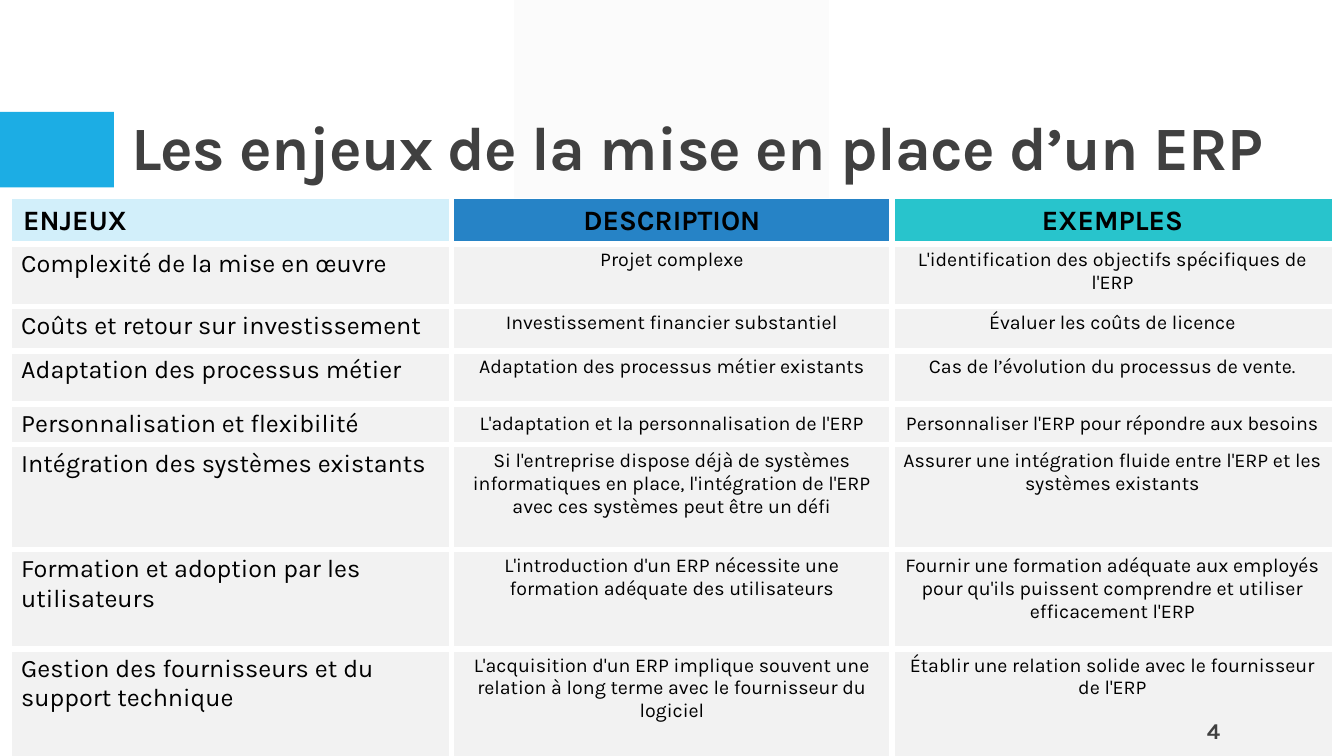
from lxml.etree import SubElement
from pptx import Presentation
from pptx.dml.color import RGBColor
from pptx.enum.shapes import MSO_SHAPE
from pptx.enum.text import MSO_ANCHOR, MSO_AUTO_SIZE, PP_ALIGN
from pptx.oxml.ns import qn
from pptx.util import Inches, Pt

BLUE = RGBColor(0x1C, 0xAD, 0xE4)
GREY = RGBColor(0xF2, 0xF2, 0xF2)
DARK = RGBColor(0x40, 0x40, 0x40)
BLACK = RGBColor(0, 0, 0)
WHITE = RGBColor(0xFF, 0xFF, 0xFF)
HEADER_FILLS = [RGBColor(0xD2, 0xEF, 0xFA), RGBColor(0x26, 0x83, 0xC6), RGBColor(0x28, 0xC4, 0xCC)]

TITLE = "Les enjeux de la mise en place d’un ERP"
PAGE_NUMBER = "4"
ROWS = [
    ("ENJEUX", "DESCRIPTION", "EXEMPLES"),
    ("Complexité de la mise en œuvre", "Projet complexe",
     "L'identification des objectifs spécifiques de l'ERP"),
    ("Coûts et retour sur investissement", "Investissement financier substantiel",
     "Évaluer les coûts de licence"),
    ("Adaptation des processus métier", "Adaptation des processus métier existants",
     "Cas de l’évolution du processus de vente."),
    ("Personnalisation et flexibilité", "L'adaptation et la personnalisation de l'ERP",
     "Personnaliser l'ERP pour répondre aux besoins"),
    ("Intégration des systèmes existants",
     "Si l'entreprise dispose déjà de systèmes informatiques en place, "
     "l'intégration de l'ERP avec ces systèmes peut être un défi",
     "Assurer une intégration fluide entre l'ERP et les systèmes existants"),
    ("Formation et adoption par les utilisateurs",
     "L'introduction d'un ERP nécessite une formation adéquate des utilisateurs",
     "Fournir une formation adéquate aux employés pour qu'ils puissent "
     "comprendre et utiliser efficacement l'ERP"),
    ("Gestion des fournisseurs et du support technique",
     "L'acquisition d'un ERP implique souvent une relation à long terme "
     "avec le fournisseur du logiciel",
     "Établir une relation solide avec le fournisseur de l'ERP"),
]
ROW_HEIGHTS = [0.45, 0.62, 0.44, 0.53, 0.4, 1.04, 0.99, 1.07]
COLUMN_WIDTH = 4.37
CENTRED_ROWS = (0, 4)  # rows whose text sits in the middle of the cell
THIN, THICK = 1, 4.5


def set_values(target, values):
    for name, value in values.items():
        setattr(target, name, value)


def write(frame, text, size, color, bold, align):
    para = frame.paragraphs[0]
    para.alignment = align
    span = para.add_run()
    span.text = text
    set_values(span.font, {"name": "Karla", "size": Pt(size), "bold": bold})
    span.font.color.rgb = color
    return para, span


def add_block(page, preset, place, color):
    block = page.shapes.add_shape(preset, *map(Inches, place))
    block.shadow.inherit = False
    block.fill.solid()
    block.fill.fore_color.rgb = color
    block.line.fill.background()
    return block


def set_borders(cell, widths):
    """Draw white borders; widths are in points: left, right, top, bottom."""
    properties = cell._tc.get_or_add_tcPr()
    for side, width in zip("LRTB", widths):
        line = SubElement(properties, qn(f"a:ln{side}"), w=str(Pt(width)))
        fill = SubElement(line, qn("a:solidFill"))
        SubElement(fill, qn("a:srgbClr"), val=str(WHITE))


def add_issue_table(page):
    last_row, last_column = len(ROWS) - 1, len(ROWS[0]) - 1
    table = page.shapes.add_table(
        len(ROWS), len(ROWS[0]), Inches(0.11), Inches(1.97),
        Inches(COLUMN_WIDTH * len(ROWS[0])), Inches(sum(ROW_HEIGHTS))).table
    for column in table.columns:
        column.width = Inches(COLUMN_WIDTH)
    for r, (texts, height) in enumerate(zip(ROWS, ROW_HEIGHTS)):
        table.rows[r].height = Inches(height)
        header = r == 0
        side, edge = (0.12, 0.06) if header else (0.1, 0.05)
        for c, text in enumerate(texts):
            cell = table.cell(r, c)
            outer = (c == 0, c == last_column, header, r == last_row)
            set_borders(cell, [THIN if is_outer else THICK for is_outer in outer])
            cell.fill.solid()
            cell.fill.fore_color.rgb = HEADER_FILLS[c] if header else GREY
            set_values(cell, {
                "margin_left": Inches(side), "margin_right": Inches(side),
                "margin_top": Inches(edge), "margin_bottom": Inches(edge),
                "vertical_anchor": MSO_ANCHOR.MIDDLE if r in CENTRED_ROWS else MSO_ANCHOR.TOP})
            size = 20 if header else 18 if c == 0 else 14
            align = PP_ALIGN.LEFT if c == 0 else PP_ALIGN.CENTER
            write(cell.text_frame, text, size, BLACK, header, align)


def main():
    deck = Presentation()
    set_values(deck, {"slide_width": Inches(13.33), "slide_height": Inches(7.5)})
    page = deck.slides.add_slide(deck.slide_layouts[5])

    band = add_block(page, MSO_SHAPE.PARALLELOGRAM, (5.1, 0, 3.12, 7.5), GREY)
    band.adjustments[0] = 0
    band_color = band.fill._xPr.find(qn("a:solidFill"))[0]
    SubElement(band_color, qn("a:alpha"), val="30000")
    add_block(page, MSO_SHAPE.RECTANGLE, (0, 1.11, 1.13, 0.75), BLUE)

    title = page.shapes.title
    page.shapes._spTree.append(title._element)  # in front of the band
    set_values(title, {"left": Inches(1.2), "top": Inches(0.31),
                       "width": Inches(11.85), "height": Inches(1.56)})
    set_values(title.text_frame, {"vertical_anchor": MSO_ANCHOR.BOTTOM, "word_wrap": True,
                                  "auto_size": MSO_AUTO_SIZE.NONE})
    para, span = write(title.text_frame, TITLE, 44, DARK, True, PP_ALIGN.LEFT)
    para.line_spacing = 0.9
    span.font._element.set("spc", "-50")

    add_issue_table(page)

    number = page.shapes.add_textbox(Inches(11.35), Inches(7.05), Inches(0.85), Inches(0.4))
    set_values(number.text_frame, {"vertical_anchor": MSO_ANCHOR.MIDDLE, "word_wrap": True})
    write(number.text_frame, PAGE_NUMBER, 16, DARK, True, PP_ALIGN.RIGHT)
    deck.save("out.pptx")


if __name__ == "__main__":
    main()
